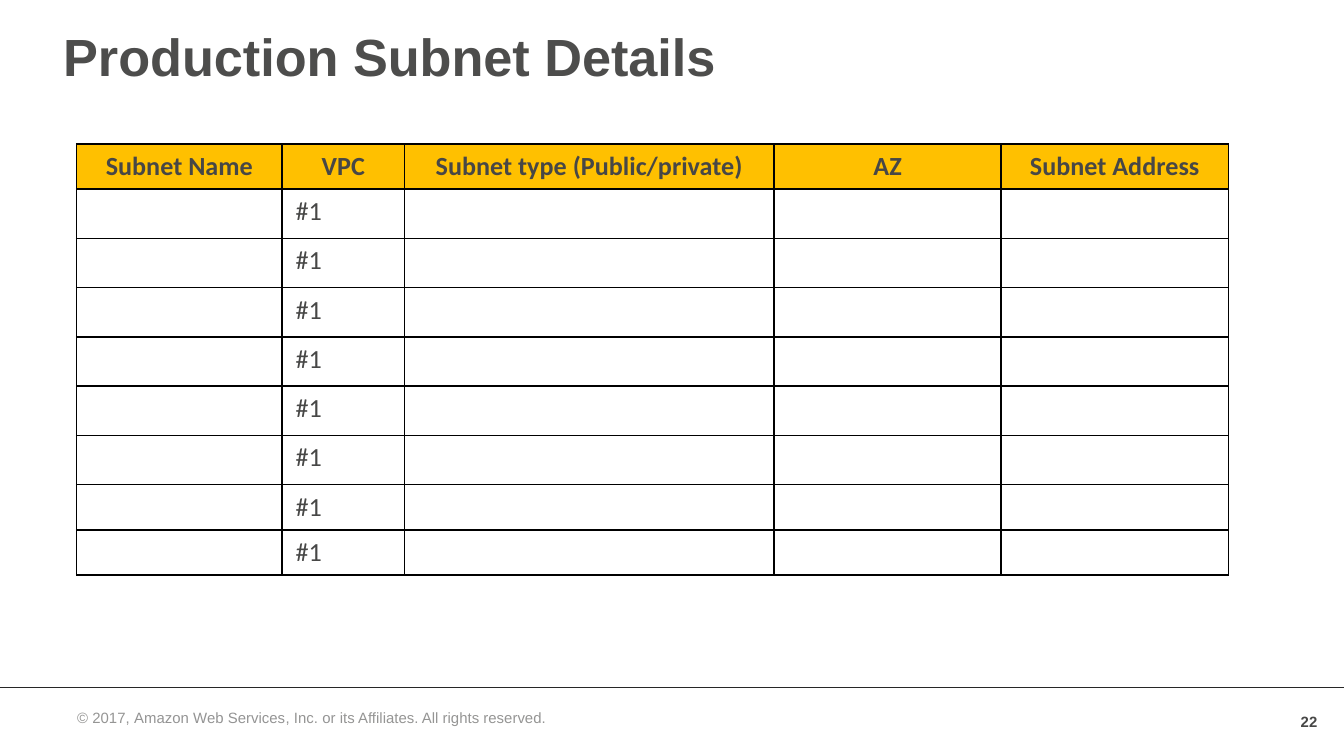
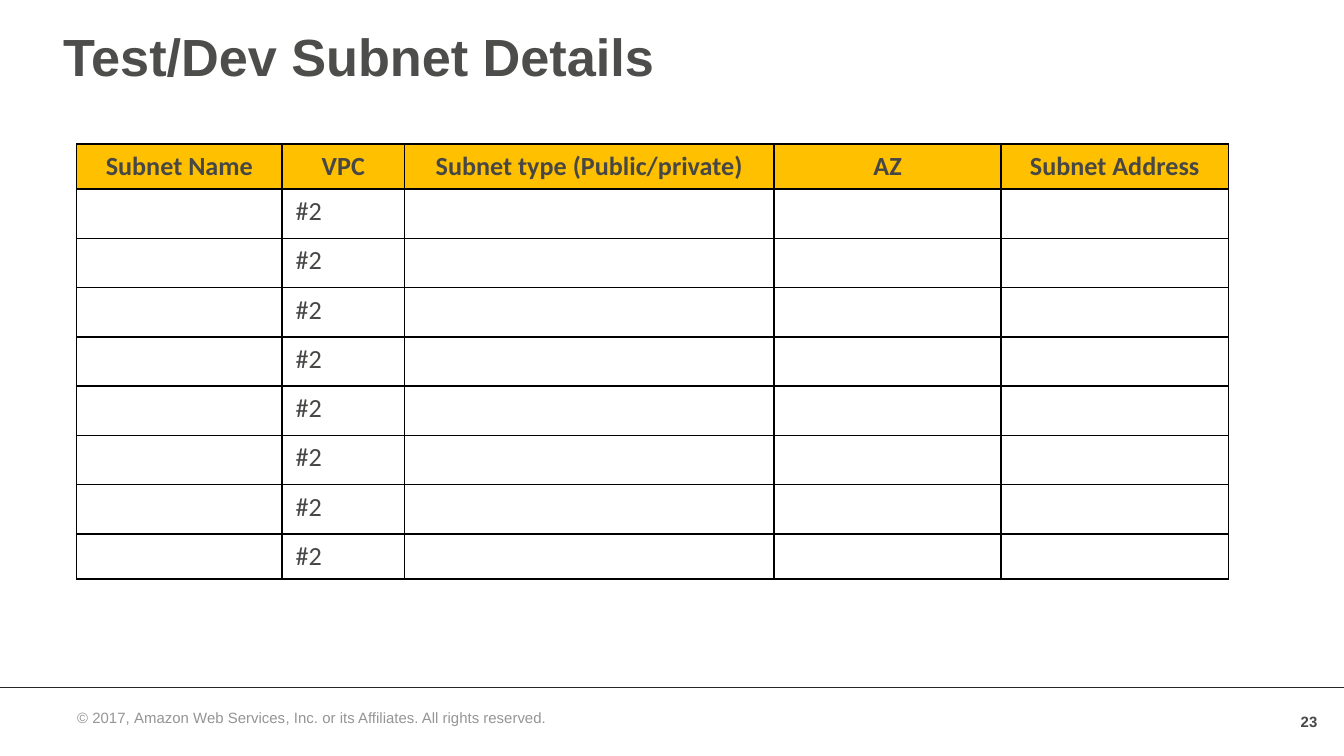
from pptx import Presentation
from pptx import util as u
from pptx.dml.color import RGBColor
from pptx.enum import shapes, text
from pptx.oxml import ns
from lxml import etree

COLORS = {"title": "4D4D4C", "body": "474746", "header": "FFC000", "border": "000000",
          "rule": "272727", "footer": "959594", "footer_alt": "949494"}
HEADERS = ["Subnet Name", "VPC", "Subnet type (Public/private)", "AZ", "Subnet Address"]
COLUMN_WIDTHS = [1.53, 0.91, 2.75, 1.69, 1.69]
FOOTER_PARTS = [("© 2017, ", "footer"), ("Amazon Web Services", "footer_alt"), (", Inc. ", "footer"),
                ("or", "footer_alt"), (" its Affiliates. All rights reserved.", "footer")]
# Title, VPC label, page number, number of tall rows, table height
SUBNET_SLIDES = [("Production Subnet Details", "#1", "22", 6, 3.2),
                 ("Test/Dev Subnet Details", "#2", "23", 7, 3.23)]
BODY_ROWS = 8
TALL_ROW = 1.1 / 3  # three tall rows fill 1.1 inches


def format_run(run, name, size, color, bold=False):
    run.font.name = name
    run.font.size = u.Pt(size)
    run.font.bold = bold
    run.font.color.rgb = RGBColor.from_string(COLORS[color])


def add_borders(cell):
    properties = cell._tc.get_or_add_tcPr()
    for position, side in enumerate(("lnL", "lnR", "lnT", "lnB")):
        line = etree.Element(ns.qn(f"a:{side}"), w=str(u.Pt(1)))
        fill = etree.SubElement(line, ns.qn("a:solidFill"))
        etree.SubElement(fill, ns.qn("a:srgbClr"), val=COLORS["border"])
        properties.insert(position, line)


# Widescreen 16:9 page
presentation = Presentation()
presentation.slide_width = u.Inches(10)
presentation.slide_height = u.Inches(10 * 9 / 16)
title_only = presentation.slide_layouts[5]

for heading, vpc, page, tall_rows, table_height in SUBNET_SLIDES:
    slide = presentation.slides.add_slide(title_only)

    # Title
    title = slide.shapes.title
    title.left, title.top = u.Inches(0.37), u.Inches(0.13)
    title.width, title.height = u.Inches(8.97), u.Inches(0.6)
    title.text_frame.text = heading
    title.text_frame.vertical_anchor = text.MSO_ANCHOR.TOP
    paragraph = title.text_frame.paragraphs[0]
    paragraph.alignment = text.PP_ALIGN.LEFT
    format_run(paragraph.runs[0], "Arial", 28, "title", True)

    # Footer rules
    for inset in (0, 0.1):
        rule = slide.shapes.add_connector(shapes.MSO_CONNECTOR.STRAIGHT, u.Inches(inset), u.Inches(5.11),
                                          u.Inches(10 - inset), u.Inches(5.11))
        rule.line.color.rgb = RGBColor.from_string(COLORS["rule"])
        rule.line.width = u.Pt(0.25)
        etree.SubElement(rule._element.spPr, ns.qn("a:effectLst"))

    # Subnet table
    frame = slide.shapes.add_table(BODY_ROWS + 1, len(HEADERS), u.Inches(0.57), u.Inches(1.07),
                                   u.Inches(8.57), u.Inches(table_height))
    table = frame.table
    table.horz_banding = False
    for column, width in zip(table.columns, COLUMN_WIDTHS):
        column.width = u.Inches(width)
    row_heights = [0.31] + [TALL_ROW] * tall_rows + [0.18] * (BODY_ROWS - tall_rows)
    for row, height in zip(table.rows, row_heights):
        row.height = u.Inches(height)
    frame.height = u.Inches(table_height)

    rows = [HEADERS] + [["", vpc, "", "", ""]] * BODY_ROWS
    for row_index, values in enumerate(rows):
        is_header = row_index == 0
        for column_index, value in enumerate(values):
            cell = table.cell(row_index, column_index)
            paragraph = cell.text_frame.paragraphs[0]
            if value:
                paragraph.text = value
                paragraph.alignment = text.PP_ALIGN.CENTER if is_header else text.PP_ALIGN.LEFT
                format_run(paragraph.runs[0], "Calibri", 14, "body", is_header)
            else:
                # Keep empty cells as low as the filled ones
                end = etree.SubElement(paragraph._p, ns.qn("a:endParaRPr"), sz="1400")
                etree.SubElement(end, ns.qn("a:latin"), typeface="Calibri")
            if is_header:
                cell.fill.solid()
                cell.fill.fore_color.rgb = RGBColor.from_string(COLORS["header"])
            else:
                cell.fill.background()
            add_borders(cell)

    # Copyright line
    footer = slide.shapes.add_textbox(u.Inches(0.37), u.Inches(5.22), u.Inches(3.9), u.Inches(0.3))
    footer.text_frame.word_wrap = True
    paragraph = footer.text_frame.paragraphs[0]
    paragraph.alignment = text.PP_ALIGN.CENTER
    for words, color in FOOTER_PARTS:
        run = paragraph.add_run()
        run.text = words
        format_run(run, "Arial", 8, color)

    # Page number
    number = slide.shapes.add_textbox(u.Inches(9.55), u.Inches(5.22), u.Inches(0.35), u.Inches(0.3))
    number.text_frame.word_wrap = True
    number.text_frame.vertical_anchor = text.MSO_ANCHOR.MIDDLE
    number.text_frame.text = page
    paragraph = number.text_frame.paragraphs[0]
    paragraph.alignment = text.PP_ALIGN.RIGHT
    format_run(paragraph.runs[0], "Arial", 8, "body", True)

presentation.save("out.pptx")
